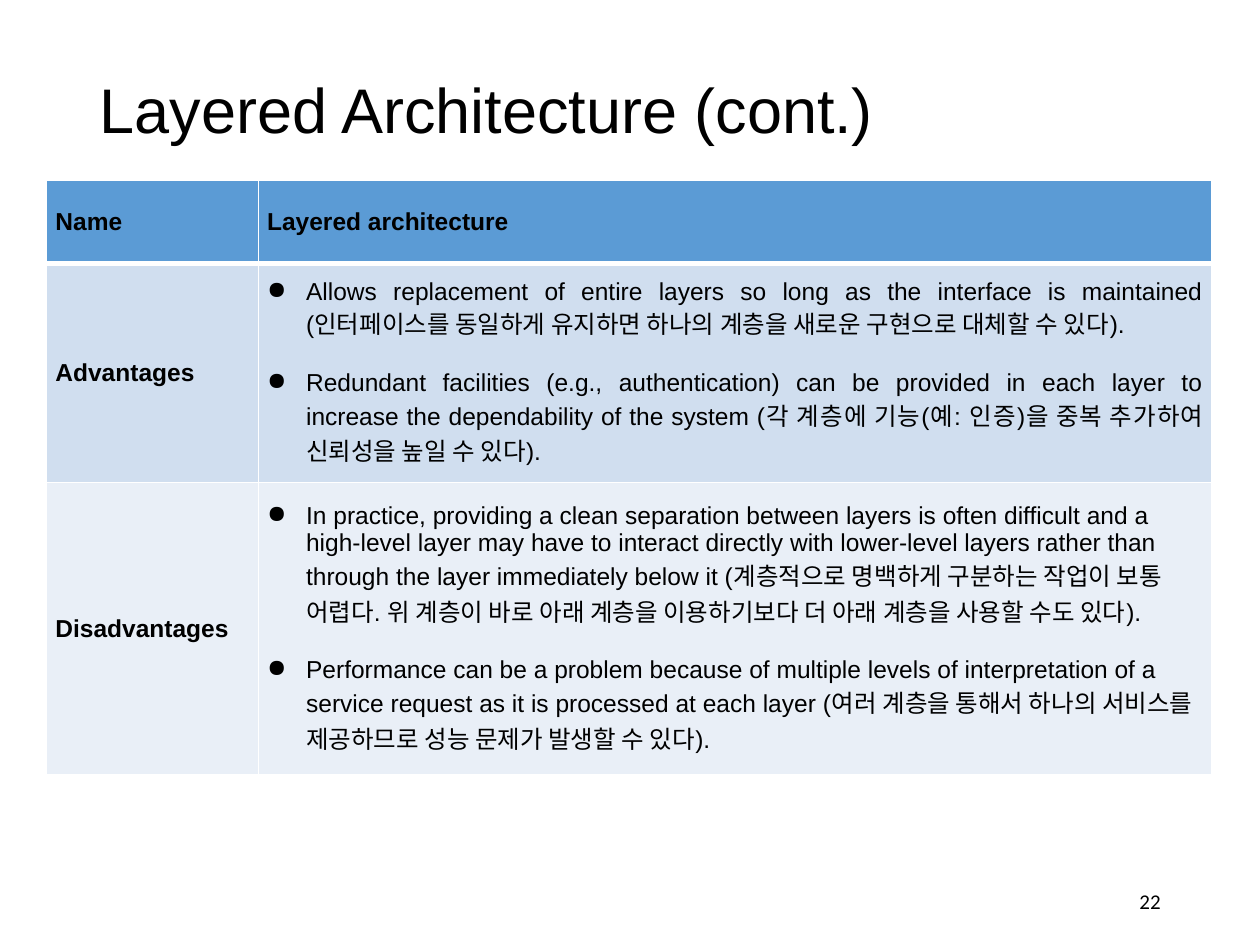
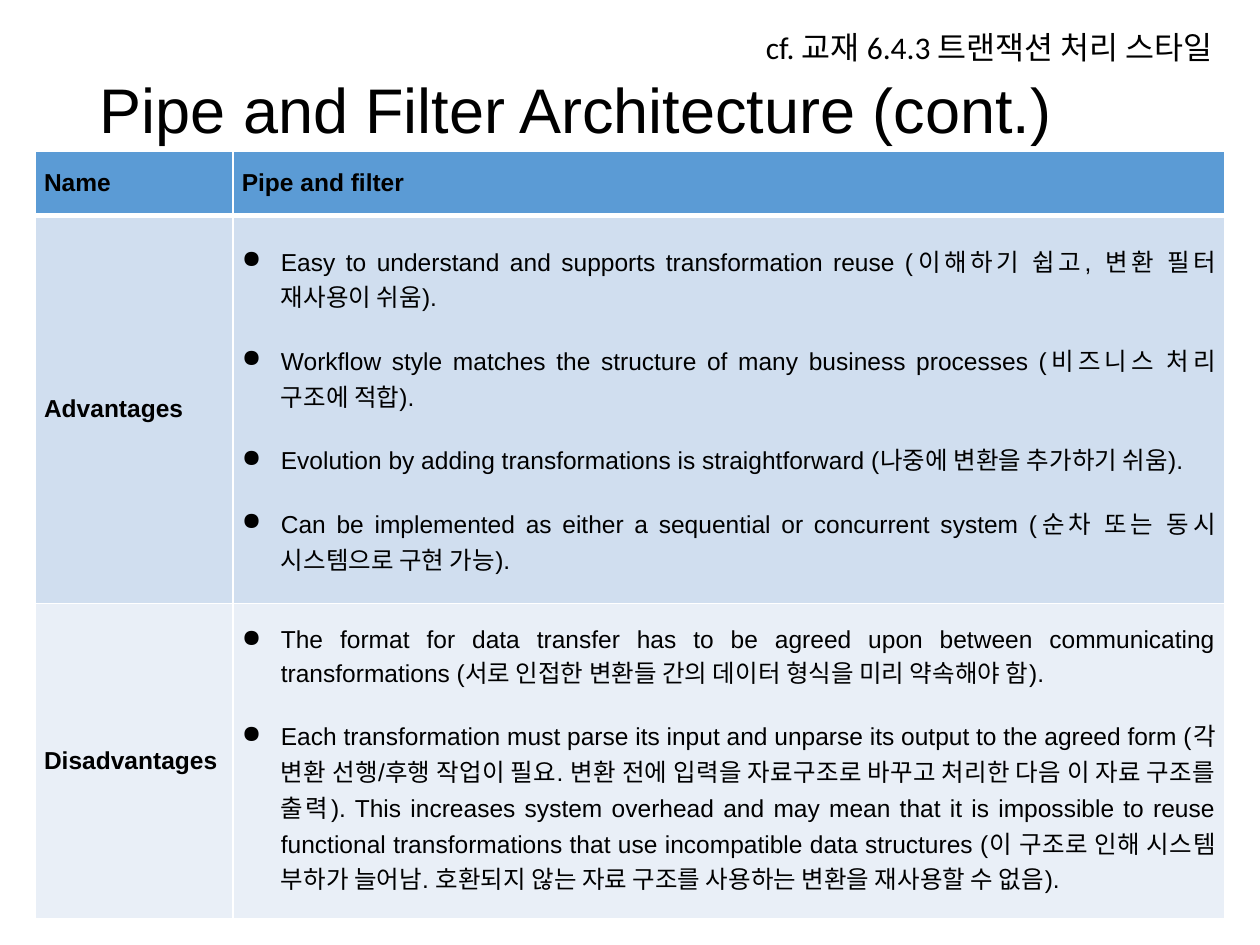
from dataclasses import dataclass

from lxml.etree import SubElement
from pptx import Presentation
from pptx.dml.color import RGBColor
from pptx.enum.text import MSO_ANCHOR as Anchor, PP_ALIGN as Align
from pptx.oxml import parse_xml
from pptx.oxml.ns import nsdecls, qn
from pptx.slide import Slide
from pptx.table import _Cell as Cell
from pptx.text.text import TextFrame, _Paragraph as Paragraph
from pptx.util import Inches, Pt

BLACK, WHITE = "000000", "FFFFFF"
ROW_FILLS = ("5B9BD5", "D0DEEF", "E9EFF7")
HEADING_FONT, NOTE_FONT = "Arial", "Calibri"
BULLET_INDENT = Inches(0.31)
POINT_GAP = Pt(16)
TITLE_ONLY = 5


@dataclass(frozen=True)
class Note:
    """A short line of text beside the table."""
    text: str
    left: float
    top: float
    width: float
    size: int
    align: Align


@dataclass(frozen=True)
class StyleSlide:
    """An architectural style with its advantages and disadvantages."""
    title: str
    name: str
    advantages: tuple[str, ...]
    disadvantages: tuple[str, ...]
    left: float
    top: float
    widths: tuple[float, float]
    heights: tuple[float, float, float]
    note: Note
    disadvantages_align: Align = Align.JUSTIFY


SLIDES = (
    StyleSlide(
        title="Layered Architecture (cont.)",
        name="Layered architecture",
        advantages=(
            "Allows replacement of entire layers so long as the interface is maintained "
            "(인터페이스를 동일하게 유지하면 하나의 계층을 새로운 구현으로 대체할 수 있다).",
            "Redundant facilities (e.g., authentication) can be provided in each layer to "
            "increase the dependability of the system "
            "(각 계층에 기능(예: 인증)을 중복 추가하여 신뢰성을 높일 수 있다).",
        ),
        disadvantages=(
            "In practice, providing a clean separation between layers is often difficult and "
            "a high-level layer may have to interact directly with lower-level layers rather "
            "than through the layer immediately below it "
            "(계층적으로 명백하게 구분하는 작업이 보통 어렵다. 위 계층이 바로 아래 계층을 "
            "이용하기보다 더 아래 계층을 사용할 수도 있다).",
            "Performance can be a problem because of multiple levels of interpretation of a "
            "service request as it is processed at each layer "
            "(여러 계층을 통해서 하나의 서비스를 제공하므로 성능 문제가 발생할 수 있다).",
        ),
        left=0.37, top=1.43, widths=(1.68, 7.57), heights=(0.66, 1.74, 2.32),
        note=Note("22", 7.06, 6.95, 2.25, 12, Align.RIGHT),
        disadvantages_align=Align.LEFT,
    ),
    StyleSlide(
        title="Pipe and Filter Architecture (cont.)",
        name="Pipe and filter",
        advantages=(
            "Easy to understand and supports transformation reuse "
            "(이해하기 쉽고, 변환 필터 재사용이 쉬움).",
            "Workflow style matches the structure of many business processes "
            "(비즈니스 처리 구조에 적합).",
            "Evolution by adding transformations is straightforward "
            "(나중에 변환을 추가하기 쉬움).",
            "Can be implemented as either a sequential or concurrent system "
            "(순차 또는 동시 시스템으로 구현 가능).",
        ),
        disadvantages=(
            "The format for data transfer has to be agreed upon between communicating "
            "transformations (서로 인접한 변환들 간의 데이터 형식을 미리 약속해야 함).",
            "Each transformation must parse its input and unparse its output to the agreed "
            "form (각 변환 선행/후행 작업이 필요. 변환 전에 입력을 자료구조로 바꾸고 처리한 "
            "다음 이 자료 구조를 출력). This increases system overhead and may mean that it "
            "is impossible to reuse functional transformations that use incompatible data "
            "structures (이 구조로 인해 시스템 부하가 늘어남. 호환되지 않는 자료 구조를 "
            "사용하는 변환을 재사용할 수 없음).",
        ),
        left=0.28, top=1.2, widths=(1.57, 7.87), heights=(0.51, 3.08, 2.5),
        note=Note("cf. 교재 6.4.3 트랜잭션 처리 스타일", 5.98, 0.17, 4.01, 18, Align.LEFT),
    ),
)


def rgb(color: str) -> RGBColor:
    """Turn a hex string into a colour."""
    return RGBColor.from_string(color)


def add_run(p: Paragraph, text: str, size: int, font: str, bold: bool = False) -> None:
    """Add one black run to a paragraph."""
    r = p.add_run()
    r.text = text
    r.font.size = Pt(size)
    r.font.name = font
    r.font.bold = bold
    r.font.color.rgb = rgb(BLACK)


def set_bullet(p: Paragraph) -> None:
    """Give a paragraph a round bullet and a hanging indent."""
    pPr = p._p.get_or_add_pPr()
    pPr.set("marL", str(BULLET_INDENT))
    pPr.set("indent", str(-BULLET_INDENT))
    color = SubElement(pPr, qn("a:buClr"))
    SubElement(color, qn("a:srgbClr")).set("val", BLACK)
    SubElement(pPr, qn("a:buChar")).set("char", "●")


def set_borders(cell: Cell, top: int, bottom: int) -> None:
    """Draw white borders, with top and bottom widths in points."""
    tcPr = cell._tc.get_or_add_tcPr()
    for i, (side, width) in enumerate((("L", 1), ("R", 1), ("T", top), ("B", bottom))):
        tcPr.insert(i, parse_xml(
            f'<a:ln{side} {nsdecls("a")} w="{Pt(width)}"><a:solidFill>'
            f'<a:srgbClr val="{WHITE}"/></a:solidFill></a:ln{side}>'))


def format_cell(cell: Cell, row: int) -> TextFrame:
    """Fill and frame a cell and return its text frame."""
    cell.fill.solid()
    cell.fill.fore_color.rgb = rgb(ROW_FILLS[row])
    cell.vertical_anchor = Anchor.MIDDLE
    cell.margin_left = cell.margin_right = Inches(0.07)
    cell.margin_top = cell.margin_bottom = 0
    set_borders(cell, top=3 if row == 1 else 1, bottom=3 if row == 0 else 1)
    return cell.text_frame


def write_label(cell: Cell, row: int, text: str) -> None:
    """Write a bold label into a cell."""
    p = format_cell(cell, row).paragraphs[0]
    p.alignment = Align.JUSTIFY
    add_run(p, text, 14, HEADING_FONT, bold=True)


def write_points(cell: Cell, row: int, points: tuple[str, ...], align: Align) -> None:
    """Write a spaced bullet list into a cell."""
    tf = format_cell(cell, row)
    for i, point in enumerate(points):
        p = tf.add_paragraph() if i else tf.paragraphs[0]
        p.alignment = align
        if i:
            p.space_before = POINT_GAP
        set_bullet(p)
        add_run(p, point, 14, HEADING_FONT)


def set_title(s: Slide, text: str) -> None:
    """Place and format the slide title."""
    sp = s.shapes.title
    sp.left, sp.top, sp.width, sp.height = map(Inches, (0.69, 0.4, 8.62, 0.99))
    tf = sp.text_frame
    tf.vertical_anchor = Anchor.MIDDLE
    p = tf.paragraphs[0]
    p.alignment = Align.LEFT
    p.line_spacing = 0.9
    add_run(p, text, 36, HEADING_FONT)


def add_table(s: Slide, style: StyleSlide) -> None:
    """Add the table that describes a style."""
    box = (style.left, style.top, sum(style.widths), sum(style.heights))
    table = s.shapes.add_table(3, 2, *map(Inches, box)).table
    for column, width in zip(table.columns, style.widths):
        column.width = Inches(width)
    for row, height in zip(table.rows, style.heights):
        row.height = Inches(height)
    for i, label in enumerate(("Name", "Advantages", "Disadvantages")):
        write_label(table.cell(i, 0), i, label)
    write_label(table.cell(0, 1), 0, style.name)
    write_points(table.cell(1, 1), 1, style.advantages, Align.JUSTIFY)
    write_points(table.cell(2, 1), 2, style.disadvantages, style.disadvantages_align)


def add_note(s: Slide, note: Note) -> None:
    """Add a one-line text box."""
    sp = s.shapes.add_textbox(*map(Inches, (note.left, note.top, note.width, 0.4)))
    tf = sp.text_frame
    tf.word_wrap = note.align == Align.RIGHT
    tf.vertical_anchor = Anchor.MIDDLE
    p = tf.paragraphs[0]
    p.alignment = note.align
    add_run(p, note.text, note.size, NOTE_FONT)


def main() -> None:
    """Build and save the presentation."""
    prs = Presentation()
    prs.slide_width, prs.slide_height = Inches(10), Inches(7.5)
    for style in SLIDES:
        s = prs.slides.add_slide(prs.slide_layouts[TITLE_ONLY])
        set_title(s, style.title)
        add_table(s, style)
        add_note(s, style.note)
    prs.save("out.pptx")


if __name__ == "__main__":
    main()
